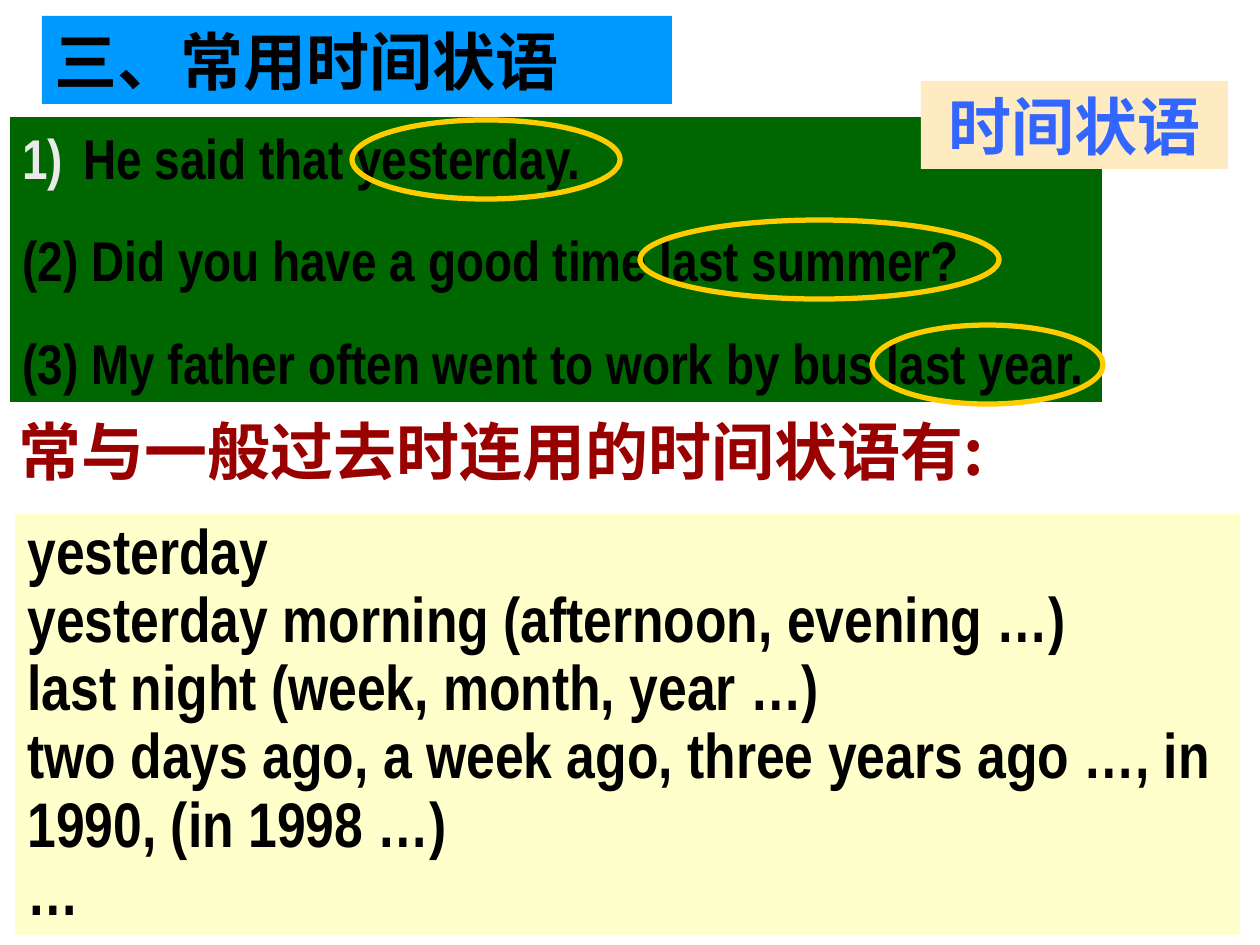
from lxml.etree import SubElement
from pptx import Presentation
from pptx.dml.color import RGBColor
from pptx.enum.shapes import MSO_SHAPE
from pptx.enum.text import PP_ALIGN
from pptx.oxml.ns import qn
from pptx.util import Emu, Pt

SCALE = 914400 / 126
HAN = "Noto Sans CJK SC"
NARROW = "Arial Narrow"
COLORS = {
    "black": "000000", "red": "990000", "sky": "0099FF", "green": "006600",
    "cream": "FFFFCC", "peach": "FFEBC2", "blue": "3366FF",
    "gold": "FFCC00", "pale": "EAEAEA",
}


def px(n):
    return Emu(round(n * SCALE))


def color(name):
    return RGBColor.from_string(COLORS[name])


def number(para, tint):
    props = para._p.get_or_add_pPr()
    fill = SubElement(props, qn("a:buClr"))
    SubElement(fill, qn("a:srgbClr"), val=COLORS[tint])
    SubElement(props, qn("a:buAutoNum"), type="arabicParenR")


def write(frame, text, size=36, font=HAN, ink="black", align=PP_ALIGN.LEFT,
          gap=0, lead=None, hang=0, mark=None):
    frame.word_wrap = True
    for i, line in enumerate(text.split("\n")):
        para = frame.add_paragraph() if i else frame.paragraphs[0]
        para.alignment = align
        if i and gap:
            para.space_before = Pt(gap)
        if lead:
            para.line_spacing = lead
        if hang:
            props = para._p.get_or_add_pPr()
            props.set("marL", str(px(hang)))
            props.set("indent", str(-px(hang)))
        if mark and i == 0:
            number(para, mark)
        run = para.add_run()
        run.text = line
        run.font.name = font
        run.font.size = Pt(size)
        run.font.bold = True
        run.font.color.rgb = color(ink)
        SubElement(run._r.get_or_add_rPr(), qn("a:ea"), typeface=HAN)


class Deck:
    def __init__(self, wide, high):
        self.show = Presentation()
        self.show.slide_width = px(wide)
        self.show.slide_height = px(high)
        self.slide = self.show.slides.add_slide(self.show.slide_layouts[6])

    def label(self, box, text, **style):
        shape = self.slide.shapes.add_textbox(*map(px, box))
        write(shape.text_frame, text, **style)

    def panel(self, box, fill, text, **style):
        shape = self.slide.shapes.add_shape(MSO_SHAPE.RECTANGLE, *map(px, box))
        shape.shadow.inherit = False
        shape.fill.solid()
        shape.fill.fore_color.rgb = color(fill)
        shape.line.fill.background()
        write(shape.text_frame, text, **style)

    def ring(self, box, ink="gold", width=3):
        shape = self.slide.shapes.add_shape(MSO_SHAPE.OVAL, *map(px, box))
        shape.shadow.inherit = False
        shape.fill.background()
        shape.line.color.rgb = color(ink)
        shape.line.width = Pt(width)


TIMES = """yesterday
yesterday morning (afternoon, evening …)
last night (week, month, year …)
two days ago, a week ago, three years ago …, in 1990, (in 1998 …)
…"""
SAMPLES = """ He said that yesterday.
(2) Did you have a good time last summer?
(3) My father often went to work by bus last year."""


def main():
    deck = Deck(1260, 945)
    deck.label((6, 406, 1120, 88), "常与一般过去时连用的时间状语有:", ink="red")
    deck.panel((15, 514, 1225, 421), "cream", TIMES, font=NARROW, lead=0.9)
    deck.panel((42, 16, 630, 88), "sky", "三、常用时间状语", font="Times New Roman")
    deck.panel((10, 117, 1092, 285), "green", SAMPLES, size=32, font=NARROW,
               gap=20, hang=48, mark="pale")
    for left, top, wide in ((352, 120, 268), (640, 220, 359), (872, 325, 231)):
        deck.ring((left, top, wide, 79))
    deck.panel((921, 81, 307, 88), "peach", "时间状语", ink="blue",
               align=PP_ALIGN.CENTER)
    deck.show.save("out.pptx")


if __name__ == "__main__":
    main()
